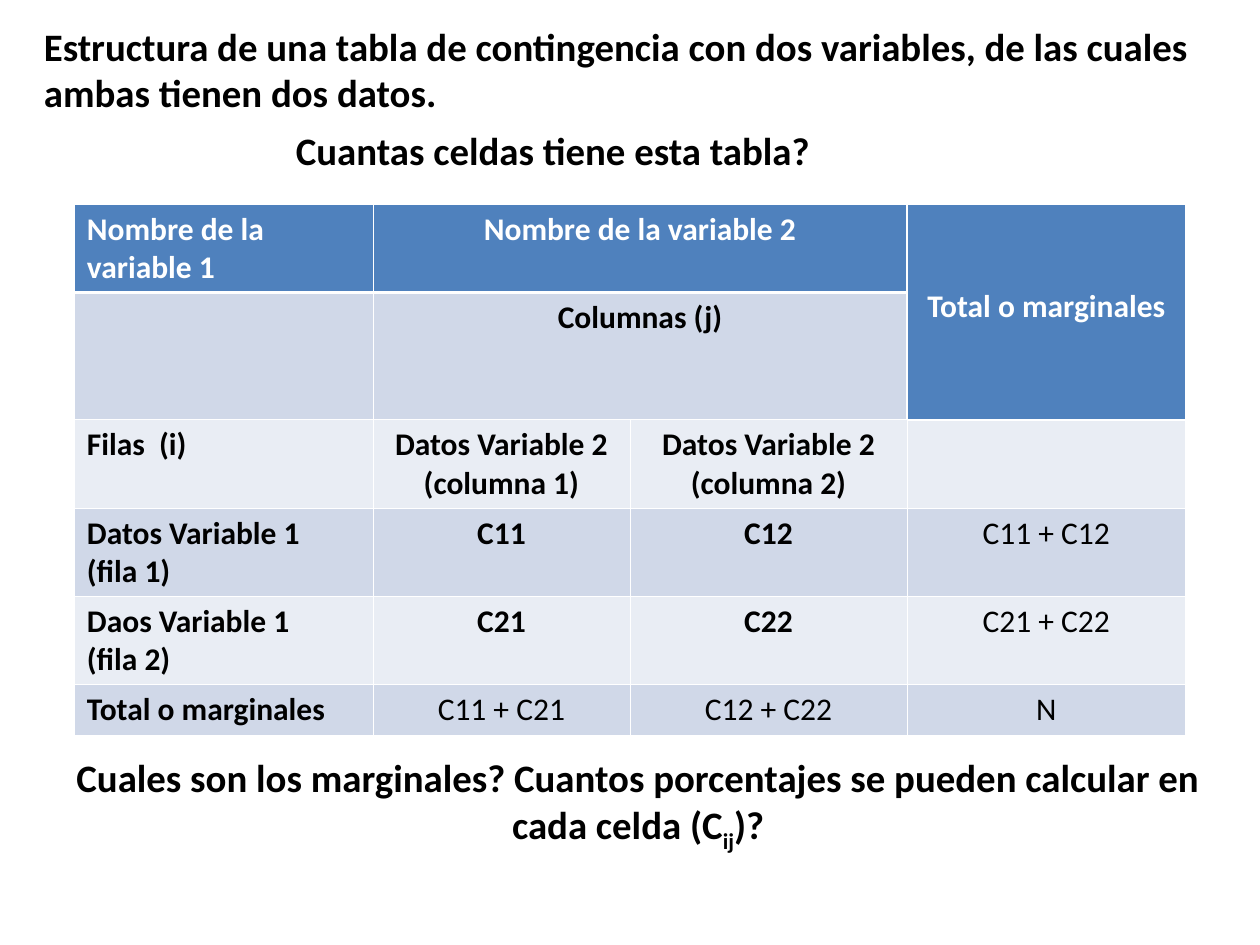
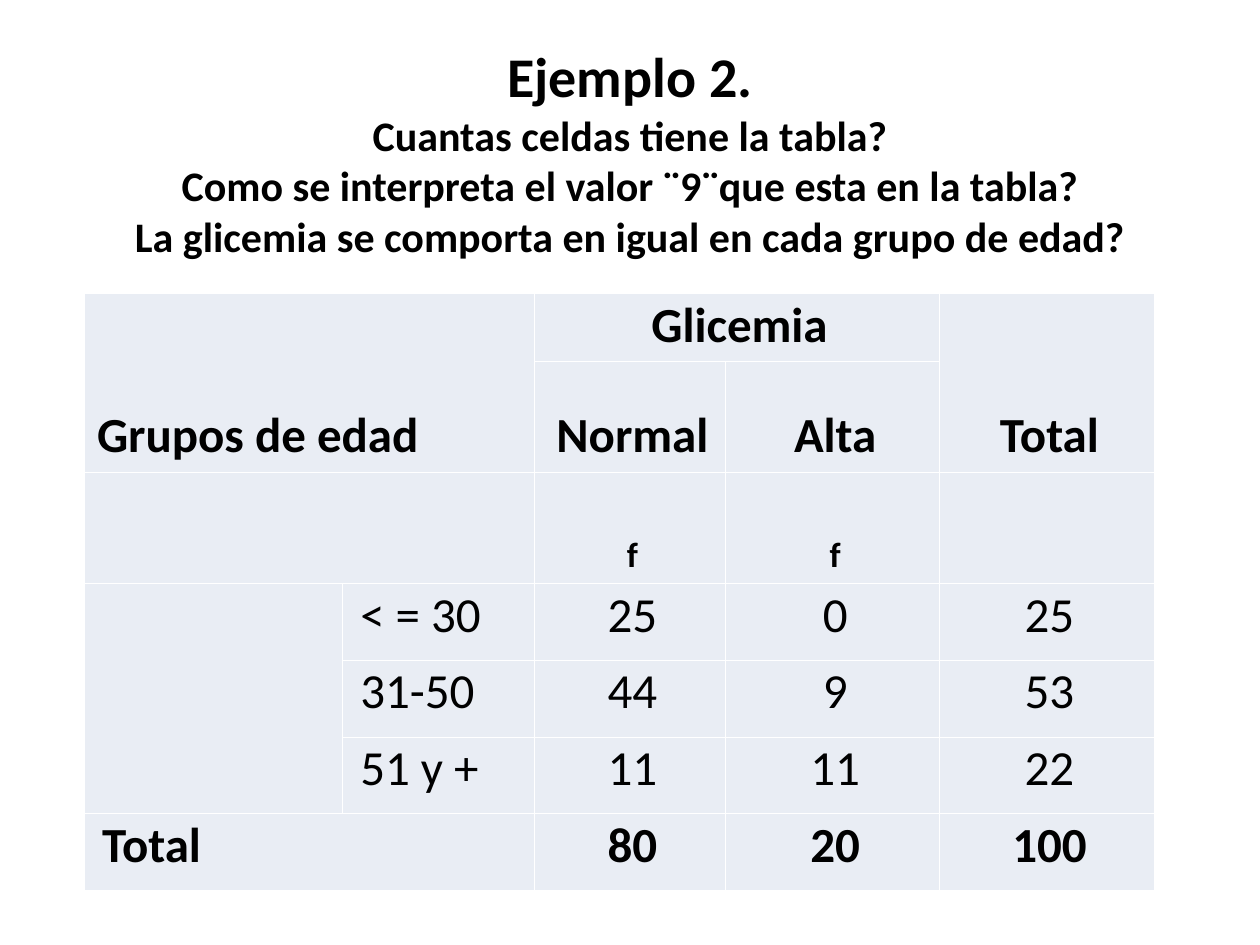
from pptx import Presentation
from pptx.dml.color import RGBColor
from pptx.enum.text import MSO_ANCHOR, PP_ALIGN
from pptx.oxml.ns import qn
from pptx.util import Inches, Pt
from lxml import etree

LEFT, MID = PP_ALIGN.LEFT, PP_ALIGN.CENTER
TOP, CORE, BASE = MSO_ANCHOR.TOP, MSO_ANCHOR.MIDDLE, MSO_ANCHOR.BOTTOM
WHITE = RGBColor(0xFF, 0xFF, 0xFF)
BLACK = RGBColor(0, 0, 0)
BLUE = RGBColor(0x4F, 0x81, 0xBD)
DARK = RGBColor(0xD0, 0xD8, 0xE8)
PALE = RGBColor(0xE9, 0xED, 0xF4)
FONT = "Calibri"
THIN, THICK = 0.45, 1.47

INTRO = [
    ("Estructura de una tabla de contingencia con dos variables, "
     "de las cuales ambas tienen dos datos.", dict(indent=0.13)),
    ("Cuantas celdas tiene esta tabla?", dict(indent=2.13, before=6)),
    ("Cuales son los marginales? Cuantos porcentajes se pueden calcular "
     "en cada celda (C~ij~)?", dict(indent=0.13, before=332, align=MID)),
]
TITLE = [
    ("Ejemplo 2.", 32),
    ("Cuantas celdas tiene la tabla?", 24),
    ("Como se interpreta el valor ¨9¨que esta en la tabla?", 24),
    ("La glicemia se comporta en igual en cada grupo de edad?", 24),
]

MODEL = dict(
    at=(0.59, 1.62),
    cols=[2.37, 2.04, 2.2, 2.21],
    rows=[0.7, 1, 0.7, 0.7, 0.7, 0.4],
    cells=[
        ["Nombre de la variable 1", "Nombre de la variable 2", "", "Total o marginales"],
        ["", "Columnas (j)", "", ""],
        ["Filas  (i)", "Datos Variable 2\n(columna 1)", "Datos Variable 2\n(columna 2)", ""],
        ["Datos Variable 1\n(fila 1)", "C11", "C12", "C11 + C12"],
        ["Daos Variable 1\n(fila 2)", "C21", "C22", "C21 + C22"],
        ["Total o marginales", "C11 + C21", "C12 + C22", "N"],
    ],
    spans=[(0, 1, 0, 2), (0, 3, 1, 3), (1, 1, 1, 2)],
    thick={(0, 0): "B", (0, 1): "B", (0, 2): "BR", (0, 3): "LB", (1, 0): "T",
           (1, 1): "T", (1, 2): "TR", (1, 3): "LB", (2, 3): "T"},
)
SUGAR = dict(
    at=(0.67, 2.33),
    cols=[2.05, 1.52, 1.52, 1.7, 1.7],
    rows=[0.54] + [0.88] * 2 + [0.61] * 4,
    cells=[
        ["Grupos de edad", "", "Glicemia", "", "Total"],
        ["", "", "Normal", "Alta", ""],
        ["", "", "f", "f", ""],
        ["", "< = 30", "25", "0", "25"],
        ["", "31-50", "44", "9", "53"],
        ["", "51 y +", "11", "11", "22"],
        ["Total", "", "80", "20", "100"],
    ],
    spans=[(0, 0, 1, 1), (0, 2, 0, 3), (0, 4, 1, 4), (2, 0, 2, 1),
           (3, 0, 5, 0), (6, 0, 6, 1)],
    thick={},
)


def model_look(row, col):
    head = row == 0 or (row == 1 and col == 3)
    total = (col == 3 or row == 5) and row > 2 and col > 0
    fill = BLUE if head else DARK if row % 2 else PALE
    top = 0.66 if (row, col) == (0, 3) else 0.05
    text = dict(size=18, bold=not total, color=WHITE if head else BLACK,
                align=MID if col else LEFT)
    return fill, TOP, (0.1, top), text


def sugar_look(row, col):
    head, first = row < 3, (row, col) == (0, 0)
    pad = (0.1 if first else 0.14, 0.05 if head else 0.27)
    text = dict(size=20 if row == 2 else 28, bold=head or row == 6,
                align=MID if col > 1 else LEFT,
                line=1.07 if first else Pt(16))
    return PALE, BASE if head else TOP, pad, text


def write(frame, text, size=22.2, bold=True, color=BLACK, align=LEFT,
          indent=0, before=0, line=None):
    para = frame.paragraphs[0]
    if para.runs:
        para = frame.add_paragraph()
    para.alignment = align
    para.space_before = Pt(before)
    if line:
        para.line_spacing = line
    if indent:
        para._p.get_or_add_pPr().set("marL", str(Inches(indent)))
    for n, part in enumerate(text.split("~")):
        run = para.add_run()
        run.text = part
        font = run.font
        font.name, font.size, font.bold = FONT, Pt(size), bold
        font.color.rgb = color
        if n % 2:
            run._r.get_or_add_rPr().set("baseline", "-25000")


def add_box(slide, left, top, width, height, anchor=TOP):
    box = slide.shapes.add_textbox(*map(Inches, (left, top, width, height)))
    frame = box.text_frame
    frame.word_wrap = True
    frame.vertical_anchor = anchor
    return frame


def edge(cell, thick):
    props = cell._tc.get_or_add_tcPr()
    for n, side in enumerate("LRTB"):
        width = THICK if side in thick else THIN
        line = etree.Element(qn("a:ln" + side), w=str(Pt(width)))
        fill = etree.SubElement(line, qn("a:solidFill"))
        etree.SubElement(fill, qn("a:srgbClr"), val=str(WHITE))
        props.insert(n, line)


def add_grid(slide, data, look):
    cols, rows = data["cols"], data["rows"]
    size = (*data["at"], sum(cols), sum(rows))
    table = slide.shapes.add_table(len(rows), len(cols), *map(Inches, size)).table
    table.first_row = table.horz_banding = False
    for col, width in zip(table.columns, cols):
        col.width = Inches(width)
    for row, height in zip(table.rows, rows):
        row.height = Inches(height)
    for top, left, end, right in data["spans"]:
        table.cell(top, left).merge(table.cell(end, right))
    for r, texts in enumerate(data["cells"]):
        for c, text in enumerate(texts):
            cell = table.cell(r, c)
            fill, anchor, pad, style = look(r, c)
            cell.fill.solid()
            cell.fill.fore_color.rgb = fill
            edge(cell, data["thick"].get((r, c), ""))
            if text:
                cell.vertical_anchor = anchor
                cell.margin_left, cell.margin_top = map(Inches, pad)
                for part in text.split("\n"):
                    write(cell.text_frame, part, **style)


def main():
    deck = Presentation()
    deck.slide_width, deck.slide_height = Inches(10), Inches(7.5)
    blank = deck.slide_layouts[6]

    slide = deck.slides.add_slide(blank)
    frame = add_box(slide, 0.12, 0.13, 9.76, 7.37)
    for text, style in INTRO:
        write(frame, text, **style)
    add_grid(slide, MODEL, model_look)

    slide = deck.slides.add_slide(blank)
    frame = add_box(slide, 0.5, 0.3, 9, 1.8, CORE)
    for text, size in TITLE:
        write(frame, text, size=size, align=MID)
    add_grid(slide, SUGAR, sugar_look)

    deck.save("out.pptx")


if __name__ == "__main__":
    main()
